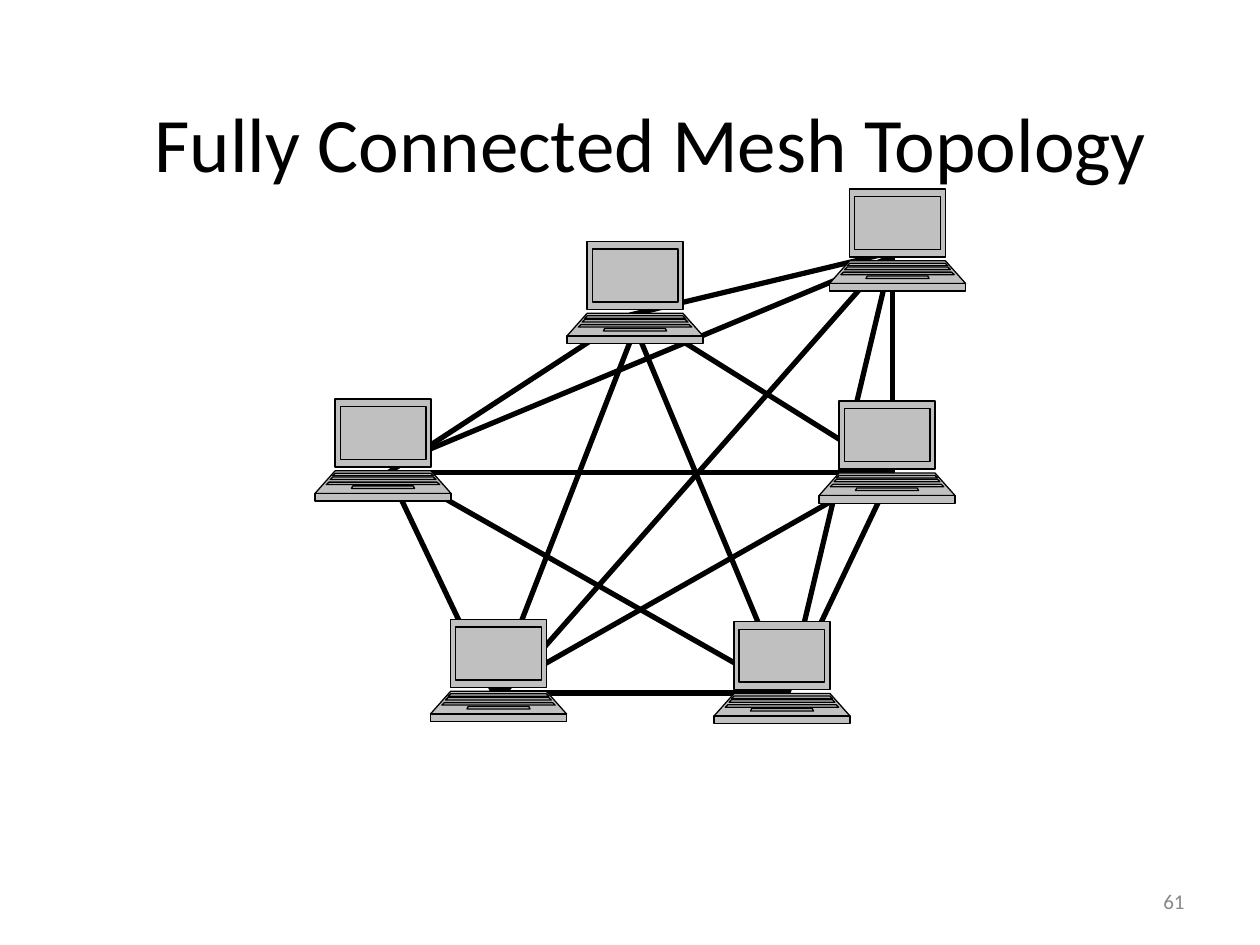
from copy import deepcopy
from dataclasses import dataclass

from lxml import etree
from pptx import Presentation
from pptx import util as u
from pptx.dml.color import RGBColor
from pptx.enum import shapes, text
from pptx.oxml.ns import qn


@dataclass(frozen=True)
class Theme:
    font: str = "Calibri"
    ink: RGBColor = RGBColor(0x00, 0x00, 0x00)
    muted: RGBColor = RGBColor(0x89, 0x89, 0x89)
    body: RGBColor = RGBColor(0xC0, 0xC0, 0xC0)
    title_size: int = 44
    number_size: int = 12
    link_width: float = 3
    outline_width: float = 0.75


THEME = Theme()
CELL = u.Inches(10) // 120

LAPTOPS = [(30, 38), (41, 59), (54, 23), (68, 59.2), (78, 38.2), (79, 18)]

TOP, CORNER, LEFT, RIGHT = (60, 30), (85, 24), (37, 45), (85, 45)
LOW_LEFT, LOW_RIGHT, TOP_INNER = (47, 66), (75, 66), (61, 30)
LINKS = [
    (TOP, CORNER),
    (LOW_RIGHT, CORNER),
    (RIGHT, CORNER),
    ((86, 24), (38, 44)),
    ((48, 66), CORNER),
    (LEFT, TOP),
    (RIGHT, TOP_INNER),
    (LOW_RIGHT, RIGHT),
    (LOW_LEFT, LOW_RIGHT),
    (LEFT, LOW_LEFT),
    (RIGHT, LEFT),
    ((84, 45), LOW_LEFT),
    (LOW_RIGHT, (38, 45)),
    (TOP_INNER, LOW_LEFT),
    (LOW_RIGHT, TOP),
]

LAPTOP_CENTER = 0.54
LAPTOP_PARTS = {
    "lid": (0, 0.54, 0.38, 0.38),
    "deck": (0.57, 0.75, 0.38, 0.54),
    "edge": (0.75, 0.81, 0.54, 0.54),
    "screen": (0.06, 0.48, 0.34, 0.34),
    "top_keys": (0.59, 0.61, 0.38, 0.4),
    "touchpad": (0.69, 0.71, 0.24, 0.25),
    "middle_keys": (0.62, 0.64, 0.4, 0.42),
    "bottom_keys": (0.66, 0.68, 0.43, 0.45),
}


def cells(*counts):
    return [round(count * CELL) for count in counts]


def place(sp, left, top, width, height):
    sp.left, sp.top, sp.width, sp.height = cells(left, top, width, height)


def set_text(sp, content, size, color, align):
    tf = sp.text_frame
    tf.word_wrap = True
    tf.vertical_anchor = text.MSO_ANCHOR.MIDDLE
    tf.text = content
    p = tf.paragraphs[0]
    p.alignment = align
    p.font.name = THEME.font
    p.font.size = u.Pt(size)
    p.font.color.rgb = color


def add_title(slide, content):
    place(slide.shapes.title, 8, 7, 108, 13)
    set_text(slide.shapes.title, content, THEME.title_size, THEME.ink,
             text.PP_ALIGN.CENTER)


def add_slide_number(slide, number):
    sp = slide.shapes.add_textbox(0, 0, 0, 0)
    place(sp, 86, 83.4, 28, 4.8)
    set_text(sp, number, THEME.number_size, THEME.muted, text.PP_ALIGN.RIGHT)


def add_link(slide, start, end):
    link = slide.shapes.add_connector(
        shapes.MSO_CONNECTOR.STRAIGHT, *cells(*start, *end))
    link.line.color.rgb = THEME.ink
    link.line.width = u.Pt(THEME.link_width)
    etree.SubElement(link._element.spPr, qn("a:effectLst"))


def split_contours(sp):
    joined = next(sp._element.iter(qn("a:path")))
    steps = list(joined)
    for step in steps:
        joined.remove(step)
    for step in steps:
        if step.tag == qn("a:moveTo"):
            contour = deepcopy(joined)
            joined.addprevious(contour)
        contour.append(step)
    joined.getparent().remove(joined)


def add_laptop(slide, column, row):
    left, top = cells(column, row)

    def point(x, y):
        return left + u.Inches(LAPTOP_CENTER + x), top + u.Inches(y)

    builder = None
    for upper, lower, upper_half, lower_half in LAPTOP_PARTS.values():
        start = point(-upper_half, upper)
        if builder is None:
            builder = slide.shapes.build_freeform(*start)
        else:
            builder.move_to(*start)
        builder.add_line_segments([
            point(upper_half, upper),
            point(lower_half, lower),
            point(-lower_half, lower),
        ], close=True)
    sp = builder.convert_to_shape()
    split_contours(sp)
    sp.shadow.inherit = False
    sp.fill.solid()
    sp.fill.fore_color.rgb = THEME.body
    sp.line.color.rgb = THEME.ink
    sp.line.width = u.Pt(THEME.outline_width)


def main():
    prs = Presentation()
    prs.slide_width, prs.slide_height = cells(120, 90)
    slide = prs.slides.add_slide(prs.slide_layouts.get_by_name("Title Only"))
    add_title(slide, "Fully Connected Mesh Topology")
    add_slide_number(slide, "61")
    for start, end in LINKS:
        add_link(slide, start, end)
    for column, row in LAPTOPS:
        add_laptop(slide, column, row)
    prs.save("out.pptx")


if __name__ == "__main__":
    main()
